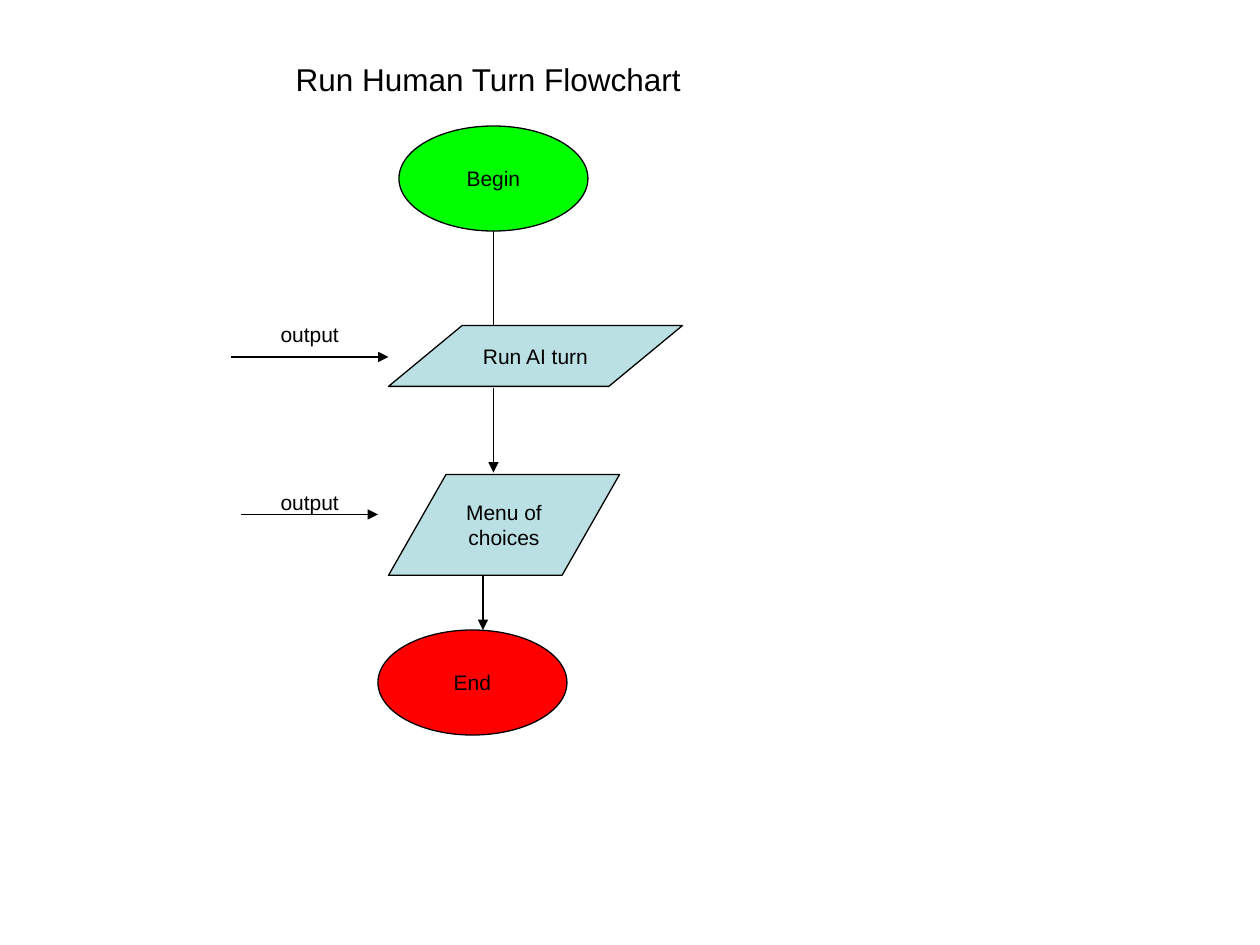
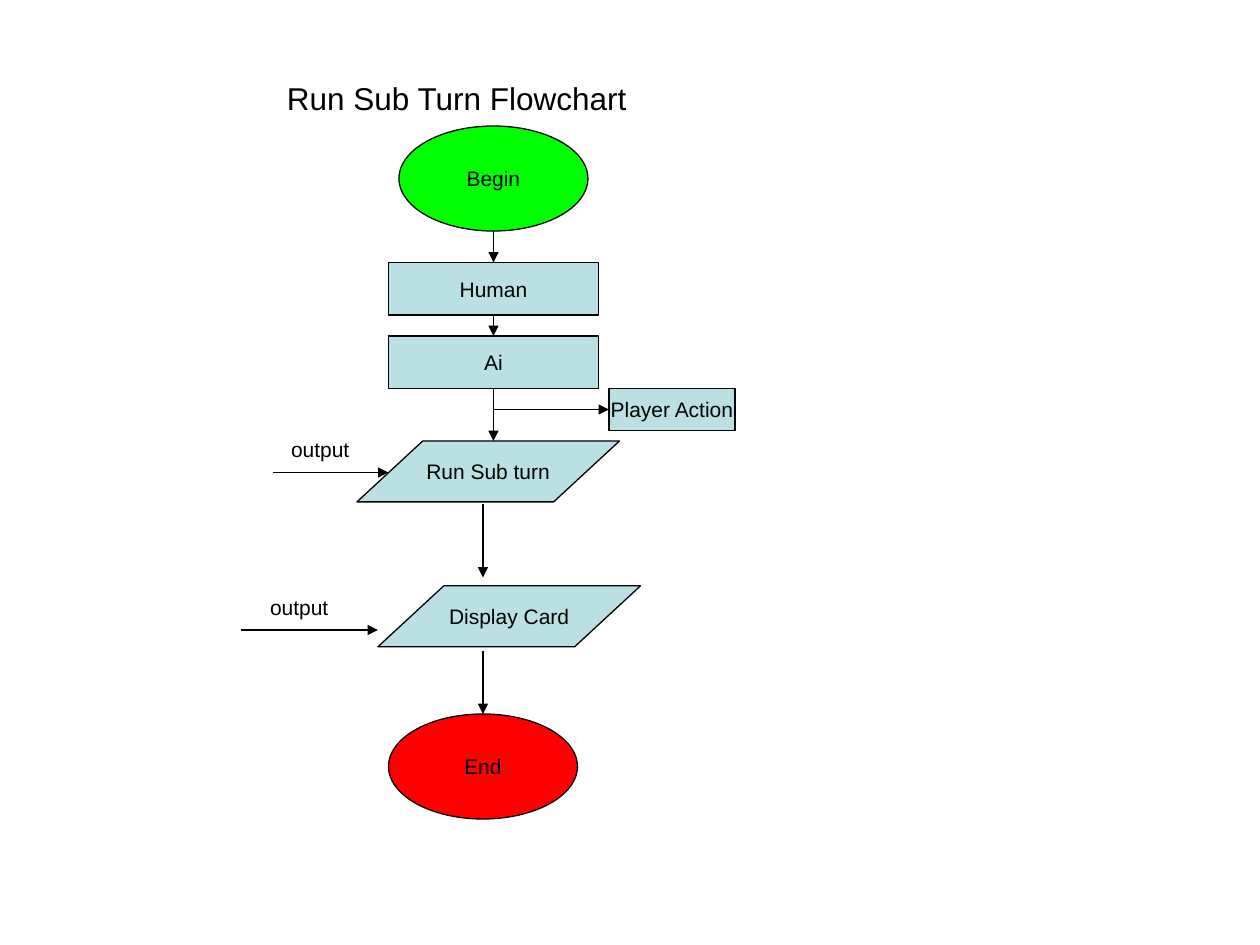
from lxml import etree
from pptx import Presentation
from pptx.dml.color import RGBColor
from pptx.enum.shapes import MSO_CONNECTOR, MSO_SHAPE
from pptx.enum.text import MSO_ANCHOR, MSO_AUTO_SIZE, PP_ALIGN
from pptx.oxml.ns import qn
from pptx.util import Cm, Pt

BLACK = RGBColor(0x00, 0x00, 0x00)
GREEN = RGBColor(0x00, 0xFF, 0x00)
RED = RGBColor(0xFF, 0x00, 0x00)
PALE_BLUE = RGBColor(0xBB, 0xE0, 0xE3)
FONT = "Arial"
LINE_WIDTH = Pt(0.75)

GRID_STEPS = 12  # grid steps per 2.54 cm
CHART_ORIGIN = (22, 12)
OVAL_SIZE = (18, 10)
STEP_SIZE = (20, 5)
LABEL_SIZE = (11, 3.6)
SLANT_HEIGHT = 5.8

# kind of node: preset shape, fill, text wraps
KINDS = {
    "begin": (MSO_SHAPE.FLOWCHART_CONNECTOR, GREEN, False),
    "end": (MSO_SHAPE.FLOWCHART_CONNECTOR, RED, False),
    "step": (MSO_SHAPE.RECTANGLE, PALE_BLUE, False),
    "output": (MSO_SHAPE.PARALLELOGRAM, PALE_BLUE, True),
}

# Node: kind, text, (x, y), (width, height), slant.
# Arrow: x1, y1, x2, y2. All in grid steps from the chart origin.
HUMAN_TURN = {
    "arrows": [(25, 10, 25, 20), (25, 25, 25, 33), (24, 42, 24, 48),
               (0, 22, 15, 22), (1, 37, 14, 37)],
    "nodes": [
        ("begin", "Begin", (16, 0), OVAL_SIZE, None),
        ("output", "Run AI turn", (15, 19), (28, SLANT_HEIGHT), 1.21),
        ("output", "Menu of choices", (15, 33.2), (22, 9.6), 0.57),
        ("end", "End", (14, 48), OVAL_SIZE, None),
    ],
    "labels": [(2, 18), (2, 34)],
}
SUB_TURN = {
    "arrows": [(25, 10, 25, 13), (25, 18, 25, 20), (25, 25, 25, 30),
               (25, 27, 36, 27), (24, 36, 24, 43), (24, 50, 24, 56),
               (4, 33, 15, 33), (1, 48, 14, 48)],
    "nodes": [
        ("begin", "Begin", (16, 0), OVAL_SIZE, None),
        ("step", "Human", (15, 13), STEP_SIZE, None),
        ("step", "Ai", (15, 20), STEP_SIZE, None),
        ("step", "Player Action", (36, 25), (12, 4), None),
        ("output", "Run Sub turn", (12, 30), (25, SLANT_HEIGHT), 1.08),
        ("output", "Display Card", (14, 43.8), (25, SLANT_HEIGHT), 1.08),
        ("end", "End", (15, 56), OVAL_SIZE, None),
    ],
    "labels": [(3, 29), (1, 44)],
}


def grid(*steps):
    """Turn grid steps into lengths."""
    return [Cm(n * 2.54 / GRID_STEPS) for n in steps]


def shift(origin, *coords):
    """Move x, y pairs from the chart's box to the slide."""
    return grid(*(c + origin[i % 2] for i, c in enumerate(coords)))


def set_text(sp, text, size=12, anchor=MSO_ANCHOR.MIDDLE, wrap=True):
    tf = sp.text_frame
    frame_format = {"word_wrap": wrap, "vertical_anchor": anchor,
                    "auto_size": MSO_AUTO_SIZE.NONE}
    for name, value in frame_format.items():
        setattr(tf, name, value)
    p = tf.paragraphs[0]
    p.alignment = PP_ALIGN.CENTER
    r = p.add_run()
    r.text = text
    for name, value in {"name": FONT, "size": Pt(size), "bold": False}.items():
        setattr(r.font, name, value)
    r.font.color.rgb = BLACK


def add_arrow(s, origin, ends):
    line = s.shapes.add_connector(MSO_CONNECTOR.STRAIGHT, *shift(origin, *ends))
    line.line.color.rgb = BLACK
    line.line.width = LINE_WIDTH
    etree.SubElement(line.line._get_or_add_ln(), qn("a:tailEnd"), type="triangle")
    etree.SubElement(line._element.spPr, qn("a:effectLst"))


def add_node(s, origin, kind, text, corner, size, slant):
    preset, fill, wrap = KINDS[kind]
    sp = s.shapes.add_shape(preset, *shift(origin, *corner), *grid(*size))
    if slant is not None:
        sp.adjustments[0] = slant
    sp.shadow.inherit = False
    sp.fill.solid()
    sp.fill.fore_color.rgb = fill
    sp.line.color.rgb = BLACK
    sp.line.width = LINE_WIDTH
    set_text(sp, text, wrap=wrap)


def add_flowchart(s, origin, arrows, nodes, labels):
    for ends in arrows:
        add_arrow(s, origin, ends)
    for node in nodes:
        add_node(s, origin, *node)
    for corner in labels:
        box = s.shapes.add_textbox(*shift(origin, *corner), *grid(*LABEL_SIZE))
        set_text(box, "output", anchor=MSO_ANCHOR.TOP)


def add_flowchart_slide(prs, title, title_box, chart):
    s = prs.slides.add_slide(prs.slide_layouts[5])
    sp = s.shapes.title
    for name, value in zip(("left", "top", "width", "height"), grid(*title_box)):
        setattr(sp, name, value)
    set_text(sp, title, size=18)
    add_flowchart(s, CHART_ORIGIN, **chart)


def main():
    prs = Presentation()
    prs.slide_width, prs.slide_height = Cm(25.4), Cm(19.05)
    add_flowchart_slide(prs, "Run Human Turn Flowchart", (7, 4, 79, 7), HUMAN_TURN)
    add_flowchart_slide(prs, "Run Sub Turn Flowchart", (10, 3, 67, 12.6), SUB_TURN)
    prs.save("out.pptx")


if __name__ == "__main__":
    main()
